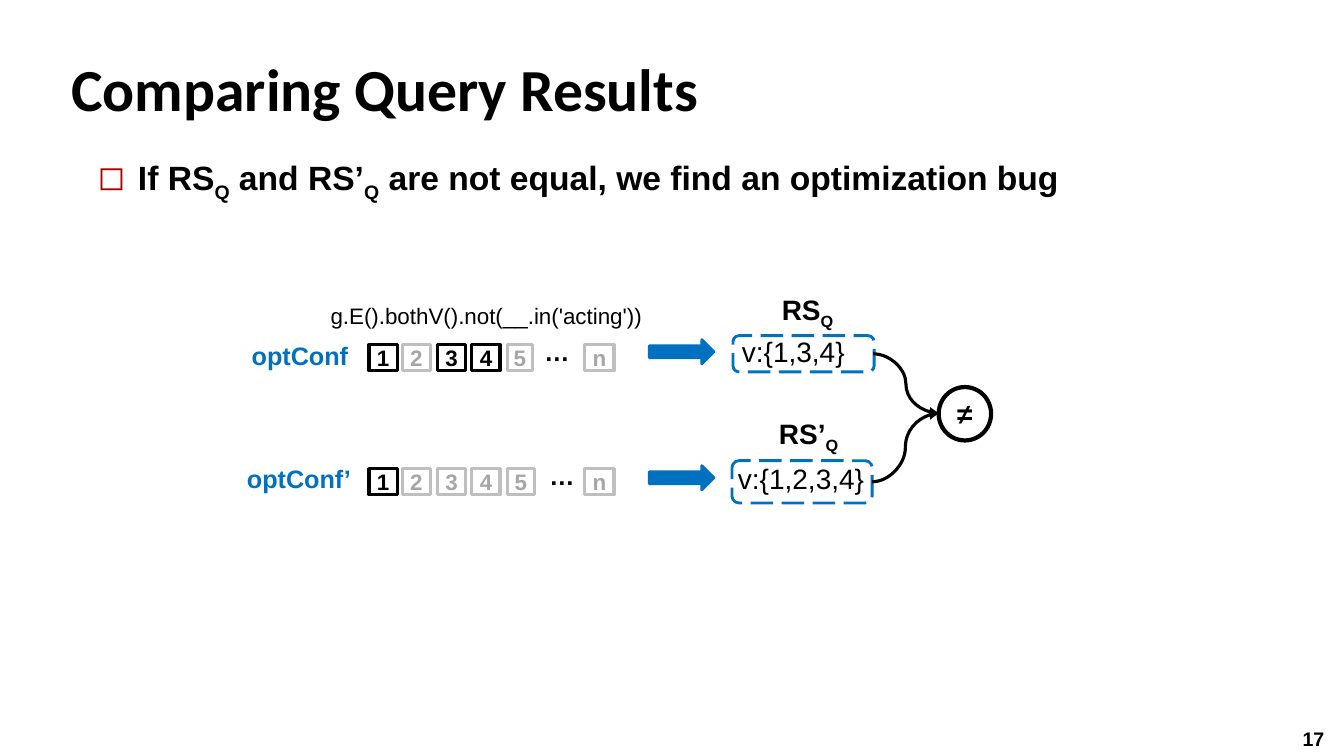
import pptx
import pptx.util
import pptx.dml.color
import pptx.enum.dml
import pptx.enum.shapes
import pptx.enum.text
import pptx.oxml.ns
from lxml import etree

Inches = pptx.util.Inches
Pt = pptx.util.Pt
Shape = pptx.enum.shapes.MSO_SHAPE
Align = pptx.enum.text.PP_ALIGN
Anchor = pptx.enum.text.MSO_ANCHOR
qn = pptx.oxml.ns.qn

HUES = {"ink": "000000", "blue": "0070C0", "edge": "BFBFBF",
        "gray": "A6A6A6", "red": "AD0101", "white": "FFFFFF"}
STYLES = {
    "title": {"size": Pt(42.6), "name": "Calibri", "bold": True},
    "point": {"size": Pt(24), "name": "Arial", "bold": True},
    "head": {"size": Pt(20), "name": "Arial", "bold": True},
    "value": {"size": Pt(20), "name": "Arial", "bold": False},
    "label": {"size": Pt(18), "name": "Arial", "bold": True},
    "cell": {"size": Pt(16), "name": "Arial", "bold": True},
    "code": {"size": Pt(16), "name": "Arial", "bold": False},
    "page": {"size": Pt(14), "name": "Arial", "bold": True},
}
ROWS = [
    {"label": "optConf", "spot": (2.29, 3.33, 1.37, 0.4), "top": 3.42,
     "hits": "134", "last": 0.25, "dots": (5.3, 3.29, 0.35, 0.4), "arrow": 3.37,
     "head": ("RS", "Q"), "above": (7.53, 2.85, 0.96, 0.44),
     "frame": (7.27, 3.33, 1.4, 0.36),
     "value": "v:{1,3,4}", "inner": (7.26, 3.27, 1.4, 0.35),
     "start": (8.66, 3.51)},
    {"label": "optConf’", "spot": (2.35, 4.55, 1.23, 0.4), "top": 4.65,
     "hits": "1", "last": 0.27, "dots": (5.35, 4.52, 0.35, 0.4), "arrow": 4.62,
     "head": ("RS’", "Q"), "above": (7.54, 4.08, 0.96, 0.44),
     "frame": (7.26, 4.57, 1.39, 0.42),
     "value": "v:{1,2,3,4}", "inner": (7.22, 4.53, 1.48, 0.35),
     "start": (8.65, 4.78)},
]


def rgb(hue):
    return pptx.dml.color.RGBColor.from_string(HUES[hue])


def write(frame, parts, style, hue="ink", align=Align.LEFT):
    para = frame.paragraphs[0]
    para.alignment = align
    for i, part in enumerate(parts):
        run = para.add_run()
        run.text = part
        for key, value in STYLES[style].items():
            setattr(run.font, key, value)
        run.font.color.rgb = rgb(hue)
        if i % 2:
            run.font._element.set("baseline", "-25000")
    return para


def text(slide, spot, parts, style, hue="ink", align=Align.LEFT, anchor=Anchor.TOP):
    frame = slide.shapes.add_textbox(*map(Inches, spot)).text_frame
    frame.word_wrap = True
    frame.vertical_anchor = anchor
    return write(frame, parts, style, hue, align)


def bullet(para, mark, hue):
    props = para._p.get_or_add_pPr()
    props.set("marL", str(Inches(0.4)))
    props.set("indent", str(-Inches(0.4)))
    color = etree.SubElement(props, qn("a:buClr"))
    etree.SubElement(color, qn("a:srgbClr")).set("val", HUES[hue])
    etree.SubElement(props, qn("a:buChar")).set("char", mark)


def shape(slide, kind, spot, edge, width, fill=None):
    item = slide.shapes.add_shape(kind, *map(Inches, spot))
    item.shadow.inherit = False
    if fill:
        item.fill.solid()
        item.fill.fore_color.rgb = rgb(fill)
    else:
        item.fill.background()
    item.line.color.rgb = rgb(edge)
    item.line.width = Pt(width)
    return item


def center(item, mark, style, hue="ink"):
    frame = item.text_frame
    layout = {"margin_left": 0, "margin_right": 0, "margin_top": 0,
              "margin_bottom": 0, "vertical_anchor": Anchor.MIDDLE}
    for key, value in layout.items():
        setattr(frame, key, value)
    write(frame, (mark,), style, hue, Align.CENTER)


def curve(slide, start, end):
    kind = pptx.enum.shapes.MSO_CONNECTOR.CURVE
    link = slide.shapes.add_connector(kind, *map(Inches, start + end))
    link.line.color.rgb = rgb("ink")
    link.line.width = Pt(2.25)
    tail = etree.SubElement(link.line._get_or_add_ln(), qn("a:tailEnd"))
    tail.set("type", "triangle")
    etree.SubElement(link._element.spPr, qn("a:effectLst"))


def cells(slide, row):
    lefts = (3.66, 3.99, 4.34, 4.68, 5.03, 5.8)
    widths = (0.28,) * 4 + (row["last"], 0.29)
    for mark, left, width in zip("12345n", lefts, widths):
        hit = mark in row["hits"]
        box = shape(slide, Shape.RECTANGLE, (left, row["top"], width, 0.26),
                    "ink" if hit else "edge", 2.25)
        center(box, mark, "cell", "ink" if hit else "gray")


def result(slide, row):
    text(slide, row["spot"], (row["label"],), "label", "blue", Align.CENTER)
    cells(slide, row)
    text(slide, row["dots"], ("…",), "label")
    shape(slide, Shape.RIGHT_ARROW, (6.44, row["arrow"], 0.64, 0.24), "blue", 2, "blue")
    text(slide, row["above"], row["head"], "head", align=Align.CENTER)
    frame = shape(slide, Shape.ROUNDED_RECTANGLE, row["frame"], "blue", 2)
    frame.line.dash_style = pptx.enum.dml.MSO_LINE.LONG_DASH
    text(slide, row["inner"], (row["value"],), "value")
    curve(slide, row["start"], (9.31, 4.1))


def main():
    deck = pptx.Presentation()
    deck.slide_width = Inches(13.33)
    deck.slide_height = Inches(7.5)
    slide = deck.slides.add_slide(deck.slide_layouts[6])
    text(slide, (12.82, 7.16, 0.48, 0.34), ("17",), "page")
    title = text(slide, (0.61, 0.34, 12.24, 0.93), ("Comparing Query Results",),
                 "title", anchor=Anchor.BOTTOM)
    title.line_spacing = Pt(46.6)
    point = text(slide, (0.87, 1.51, 11.8, 0.5),
                 ("If RS", "Q", " and RS’", "Q",
                  " are not equal, we find an optimization bug"), "point")
    bullet(point, "◻", "red")
    text(slide, (3.18, 2.95, 3.37, 0.41), ("g.E().bothV().not(__.in('acting'))",), "code")
    for row in ROWS:
        result(slide, row)
    ring = shape(slide, Shape.OVAL, (9.31, 3.84, 0.52, 0.53), "ink", 3, "white")
    center(ring, "≠", "head")
    deck.save("out.pptx")


if __name__ == "__main__":
    main()
